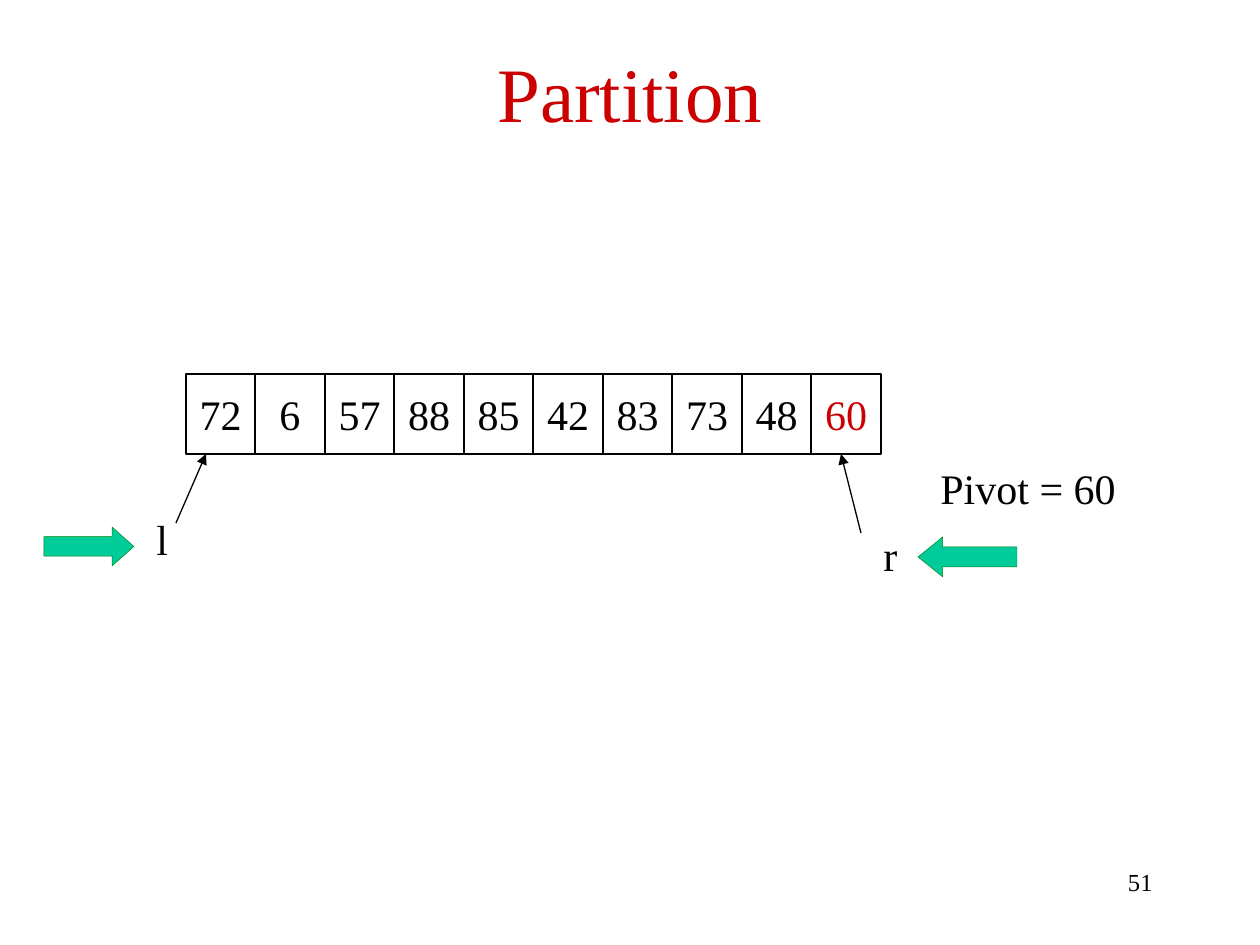
from lxml import etree
from pptx import Presentation
from pptx.dml.color import RGBColor
from pptx.enum.shapes import MSO_CONNECTOR, MSO_SHAPE
from pptx.enum.text import MSO_ANCHOR, MSO_AUTO_SIZE, PP_ALIGN
from pptx.oxml.ns import qn
from pptx.util import Emu, Pt

STRAIGHT = MSO_CONNECTOR.STRAIGHT
RECTANGLE = MSO_SHAPE.RECTANGLE
RIGHT_ARROW, LEFT_ARROW = MSO_SHAPE.RIGHT_ARROW, MSO_SHAPE.LEFT_ARROW
TOP, MIDDLE = MSO_ANCHOR.TOP, MSO_ANCHOR.MIDDLE
LEFT, CENTER, RIGHT = PP_ALIGN.LEFT, PP_ALIGN.CENTER, PP_ALIGN.RIGHT
FIT_SHAPE = MSO_AUTO_SIZE.SHAPE_TO_FIT_TEXT
NO_FIT = MSO_AUTO_SIZE.NONE

EMU_PER_PX = 914400 / 126
FONT = "Times New Roman"
COLORS = {
    "text": "000000",
    "accent": "CC0000",
    "cell": "FFFFFF",
    "line": "000000",
    "arrow": "00CC99",
    "arrow_line": "008000",
}
VALUES = [72, 6, 57, 88, 85, 42, 83, 73, 48, 60]
PIVOT = 60
ROW_LEFT, ROW_TOP, ROW_WIDTH, ROW_HEIGHT = 186, 374, 695, 80


def px(*lengths):
    return [Emu(round(length * EMU_PER_PX)) for length in lengths]


def color(name):
    return RGBColor.from_string(COLORS[name])


def write_text(shape, text, size=24, tone="text", align=LEFT, anchor=TOP,
               wrap=False, fit=NO_FIT):
    frame = shape.text_frame
    frame.word_wrap = wrap
    frame.auto_size = fit
    frame.vertical_anchor = anchor
    para = frame.paragraphs[0]
    para.alignment = align
    span = para.add_run()
    span.text = text
    span.font.name = FONT
    span.font.size = Pt(size)
    span.font.color.rgb = color(tone)


def add_title(page, text):
    title = page.shapes.title
    title.left, title.top, title.width, title.height = px(63, 29, 1134, 126)
    write_text(title, text, size=44, tone="accent", align=CENTER,
               anchor=MIDDLE, wrap=True)


def add_label(page, text, bounds, **text_format):
    box = page.shapes.add_textbox(*px(*bounds))
    write_text(box, text, **text_format)


def add_box(page, kind, bounds, fill, line, line_width):
    box = page.shapes.add_shape(kind, *px(*bounds))
    box.shadow.inherit = False
    box.fill.solid()
    box.fill.fore_color.rgb = color(fill)
    box.line.color.rgb = color(line)
    box.line.width = Pt(line_width)
    return box


def add_array(page):
    edges = [ROW_LEFT + ROW_WIDTH * index // len(VALUES)
             for index in range(len(VALUES) + 1)]
    for value, left, right in zip(VALUES, edges, edges[1:]):
        bounds = (left, ROW_TOP, right - left, ROW_HEIGHT)
        cell = add_box(page, RECTANGLE, bounds, "cell", "line", 0.75)
        tone = "accent" if value == PIVOT else "text"
        write_text(cell, str(value), tone=tone, align=CENTER, anchor=MIDDLE)


def add_pointer(page, start, end):
    pointer = page.shapes.add_connector(STRAIGHT, *px(*start, *end))
    pointer.line.color.rgb = color("line")
    pointer.line.width = Pt(0.75)
    outline = pointer.line._get_or_add_ln()
    etree.SubElement(outline, qn("a:tailEnd"), type="triangle")
    etree.SubElement(pointer._element.spPr, qn("a:effectLst"))


def add_block_arrow(page, kind, bounds, head):
    arrow = add_box(page, kind, bounds, "arrow", "arrow_line", 0.25)
    arrow.adjustments[0] = 0.5
    arrow.adjustments[1] = head


def main():
    deck = Presentation()
    deck.slide_width, deck.slide_height = px(1260, 945)
    page = deck.slides.add_slide(deck.slide_layouts[5])

    add_label(page, "51", (903, 861, 262, 63), size=14, align=RIGHT, wrap=True)
    add_title(page, "Partition")
    add_array(page)

    row_bottom = ROW_TOP + ROW_HEIGHT
    add_pointer(page, (176, 523), (206, row_bottom))
    add_label(page, "l", (144, 507, 37, 63), fit=FIT_SHAPE)
    add_pointer(page, (861, 533), (841, row_bottom))
    add_label(page, "r", (871, 523, 39, 63), fit=FIT_SHAPE)
    add_label(page, f"Pivot = {PIVOT}", (928, 456, 210, 63), wrap=True)

    add_block_arrow(page, RIGHT_ARROW, (44, 527, 90, 39), 0.56)
    add_block_arrow(page, LEFT_ARROW, (918, 537, 99, 40), 0.62)
    deck.save("out.pptx")


if __name__ == "__main__":
    main()
